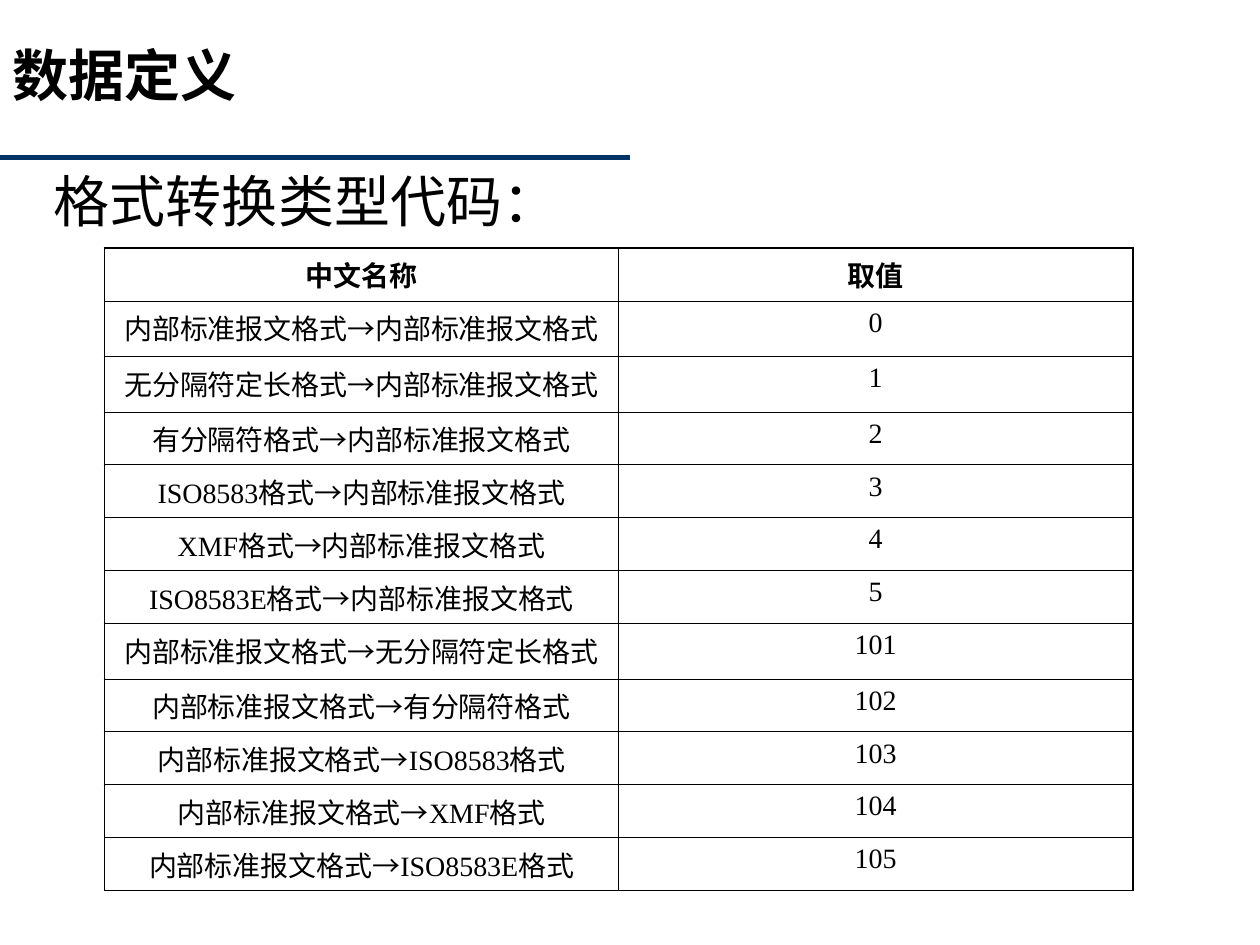
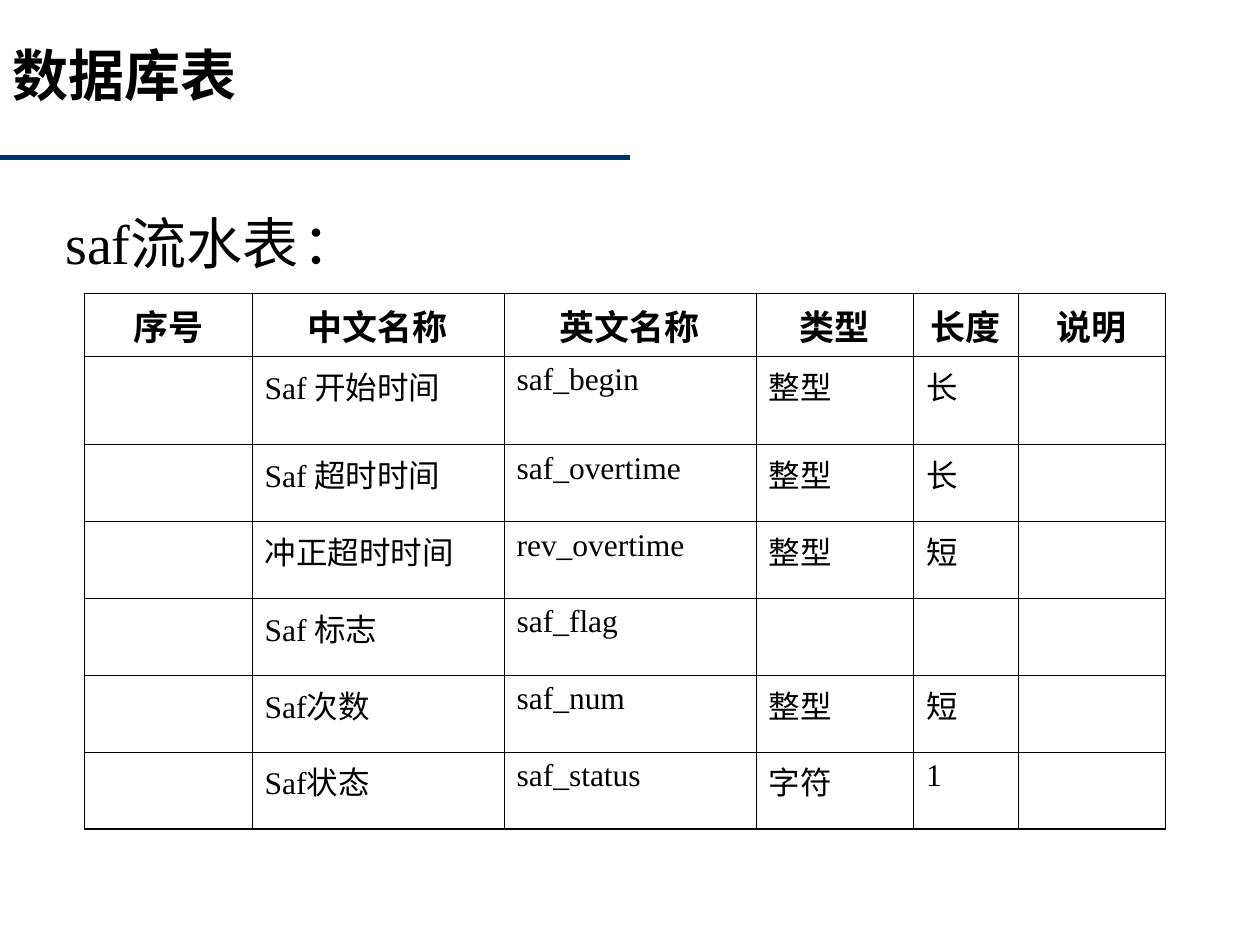
from dataclasses import dataclass

from lxml.etree import SubElement
from pptx import Presentation
from pptx.dml.color import RGBColor
from pptx.enum.shapes import MSO_CONNECTOR
from pptx.enum.text import PP_ALIGN
from pptx.oxml.ns import qn
from pptx.slide import Slide
from pptx.table import _Cell
from pptx.text.text import _Paragraph
from pptx.util import Inches, Pt

COLORS = {"rule": "003366", "text": "000000", "border": "000000"}
CJK_FONT = "Noto Sans CJK SC"
LATIN_FONT = "Times New Roman"
HEADING_SIZE = 32
OUTER_BORDER, INNER_BORDER = 1.08, 0.45


@dataclass
class TableSpec:
    left: float
    top: float
    column_widths: list[float]
    row_heights: list[float]
    header_size: int
    body_size: int
    body_alignment: PP_ALIGN
    rows: list[tuple[str, ...]]


@dataclass
class SlideSpec:
    title: str
    subtitle: str
    subtitle_left: float
    subtitle_top: float
    table: TableSpec


FORMAT_CODES = TableSpec(
    left=0.83, top=1.97,
    column_widths=[4.08] * 2,
    row_heights=[0.42, 0.44, 0.44] + [0.42] * 4 + [0.44] + [0.42] * 4,
    header_size=16, body_size=16, body_alignment=PP_ALIGN.CENTER,
    rows=[
        ("中文名称", "取值"),
        ("内部标准报文格式→内部标准报文格式", "0"),
        ("无分隔符定长格式→内部标准报文格式", "1"),
        ("有分隔符格式→内部标准报文格式", "2"),
        ("ISO8583格式→内部标准报文格式", "3"),
        ("XMF格式→内部标准报文格式", "4"),
        ("ISO8583E格式→内部标准报文格式", "5"),
        ("内部标准报文格式→无分隔符定长格式", "101"),
        ("内部标准报文格式→有分隔符格式", "102"),
        ("内部标准报文格式→ISO8583格式", "103"),
        ("内部标准报文格式→XMF格式", "104"),
        ("内部标准报文格式→ISO8583E格式", "105"),
    ],
)

SAF_JOURNAL = TableSpec(
    left=0.67, top=2.33,
    column_widths=[1.33, 2, 2, 1.25, 0.83, 1.17],
    row_heights=[0.5, 0.7] + [0.61] * 5,
    header_size=20, body_size=18, body_alignment=PP_ALIGN.LEFT,
    rows=[
        ("序号", "中文名称", "英文名称", "类型", "长度", "说明"),
        ("", "Saf 开始时间", "saf_begin", "整型", "长", ""),
        ("", "Saf 超时时间", "saf_overtime", "整型", "长", ""),
        ("", "冲正超时时间", "rev_overtime", "整型", "短", ""),
        ("", "Saf 标志", "saf_flag", "", "", ""),
        ("", "Saf次数", "saf_num", "整型", "短", ""),
        ("", "Saf状态", "saf_status", "字符", "1", ""),
    ],
)

SLIDES = [
    SlideSpec("数据定义", "格式转换类型代码：", 0.33, 1.33, FORMAT_CODES),
    SlideSpec("数据库表", "saf流水表\t：", 0.42, 1.67, SAF_JOURNAL),
]


def add_run(paragraph: _Paragraph, text: str, size: int, bold: bool = False,
            font_name: str = LATIN_FONT) -> None:
    run = paragraph.add_run()
    run.text = text
    run.font.name = font_name
    run.font.size = Pt(size)
    run.font.bold = bold
    run.font.color.rgb = RGBColor.from_string(COLORS["text"])
    SubElement(run.font._element, qn("a:ea"), typeface=CJK_FONT)


def add_heading(slide: Slide, left: float, top: float, width: float,
                height: float) -> _Paragraph:
    """Add an empty heading box and return its paragraph."""
    shape = slide.shapes.add_textbox(Inches(left), Inches(top), Inches(width), Inches(height))
    shape.text_frame.word_wrap = True
    paragraph = shape.text_frame.paragraphs[0]
    paragraph.line_spacing = 0.9
    return paragraph


def add_title(slide: Slide, title: str) -> None:
    paragraph = add_heading(slide, 0, 0.33, 7.58, 1.25)
    add_run(paragraph, title, HEADING_SIZE, bold=True, font_name=CJK_FONT)


def add_subtitle(slide: Slide, spec: SlideSpec) -> None:
    paragraph = add_heading(slide, spec.subtitle_left, spec.subtitle_top, 8.92, 0.67)
    paragraph.alignment = PP_ALIGN.JUSTIFY
    # Hanging indent with a tab stop every inch
    properties = paragraph._p.get_or_add_pPr()
    properties.set("marL", str(Inches(0.38)))
    properties.set("indent", str(-Inches(0.38)))
    tab_list = SubElement(properties, qn("a:tabLst"))
    for inch in range(8):
        SubElement(tab_list, qn("a:tab"), pos=str(Inches(inch)), algn="l")
    add_run(paragraph, spec.subtitle, HEADING_SIZE)


def add_title_rule(slide: Slide) -> None:
    connector = slide.shapes.add_connector(
        MSO_CONNECTOR.STRAIGHT, Inches(0), Inches(1.25), Inches(5), Inches(1.25))
    connector.line.color.rgb = RGBColor.from_string(COLORS["rule"])
    connector.line.width = Pt(3)
    SubElement(connector._element.spPr, qn("a:effectLst"))


def set_borders(cell: _Cell, outer_sides: dict[str, bool]) -> None:
    properties = cell._tc.get_or_add_tcPr()
    for side, is_outer in outer_sides.items():
        width = Pt(OUTER_BORDER if is_outer else INNER_BORDER)
        border = SubElement(properties, qn(f"a:ln{side}"), w=str(width))
        fill = SubElement(border, qn("a:solidFill"))
        SubElement(fill, qn("a:srgbClr"), val=COLORS["border"])


def add_grid_table(slide: Slide, spec: TableSpec) -> None:
    row_count, column_count = len(spec.rows), len(spec.column_widths)
    table = slide.shapes.add_table(
        row_count, column_count, Inches(spec.left), Inches(spec.top),
        Inches(sum(spec.column_widths)), Inches(sum(spec.row_heights))).table
    table.first_row = table.horz_banding = False
    for column, width in zip(table.columns, spec.column_widths):
        column.width = Inches(width)
    for row, height in zip(table.rows, spec.row_heights):
        row.height = Inches(height)

    for row_index, texts in enumerate(spec.rows):
        is_header = row_index == 0
        for column_index, text in enumerate(texts):
            cell = table.cell(row_index, column_index)
            set_borders(cell, {
                "L": column_index == 0,
                "R": column_index == column_count - 1,
                "T": is_header,
                "B": row_index == row_count - 1,
            })
            cell.fill.background()
            if text:
                paragraph = cell.text_frame.paragraphs[0]
                paragraph.alignment = PP_ALIGN.CENTER if is_header else spec.body_alignment
                size = spec.header_size if is_header else spec.body_size
                add_run(paragraph, text, size, bold=is_header)


def main() -> None:
    presentation = Presentation()
    presentation.slide_width = Inches(10)
    presentation.slide_height = Inches(7.5)
    blank_layout = presentation.slide_layouts[6]
    for spec in SLIDES:
        slide = presentation.slides.add_slide(blank_layout)
        add_title_rule(slide)
        add_title(slide, spec.title)
        add_subtitle(slide, spec)
        add_grid_table(slide, spec.table)
    presentation.save("out.pptx")


if __name__ == "__main__":
    main()
